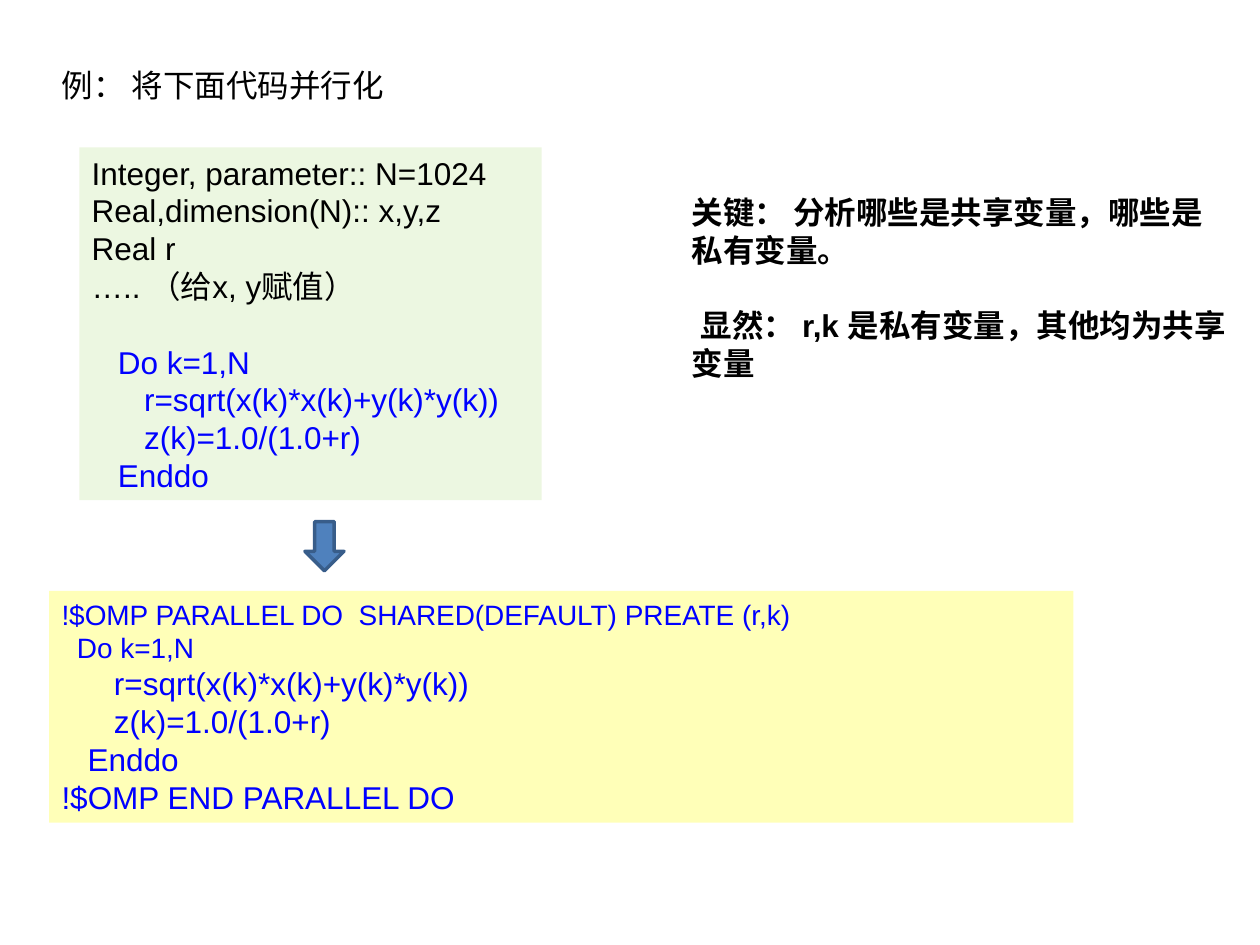
from lxml.etree import SubElement
from pptx import Presentation
from pptx.dml.color import RGBColor
from pptx.enum.shapes import MSO_SHAPE as Shape
from pptx.enum.text import MSO_ANCHOR as Anchor, MSO_AUTO_SIZE as AutoSize, PP_ALIGN as Align
from pptx.oxml.ns import qn
from pptx.util import Inches, Pt

WIDTH, HEIGHT = 10, 7.5
BLACK, BLUE = "000000", "0000FF"
LEADING = 1.2


def rgb(code):
    return RGBColor.from_string(code)


class SlideBuilder:
    font = "Arial"
    size = 18

    def __init__(self, deck):
        self.slide = deck.slides.add_slide(deck.slide_layouts[1])

    def box(self, left, top, width, height):
        """Turn shares of the slide's size into lengths."""
        return [Inches(round(share * side, 2)) for share, side in
                ((left, WIDTH), (top, HEIGHT), (width, WIDTH), (height, HEIGHT))]

    def place(self, shape, area):
        shape.left, shape.top, shape.width, shape.height = self.box(*area)

    def set_text(self, shape, lines, bold=False):
        """Fill a shape with lines of (text, size, colour, blank lines before, first indent)."""
        frame = shape.text_frame
        frame.word_wrap = True
        frame.auto_size = AutoSize.NONE
        frame.vertical_anchor = Anchor.TOP
        frame.margin_left = frame.margin_right = Inches(0.1)
        frame.margin_top = frame.margin_bottom = Inches(0.05)
        for number, (text, size, colour, gap, indent) in enumerate(lines):
            paragraph = frame.paragraphs[0] if number == 0 else frame.add_paragraph()
            properties = paragraph._p.get_or_add_pPr()
            properties.set("marL", "0")
            properties.set("indent", str(Inches(indent)))
            SubElement(properties, qn("a:buNone"))
            paragraph.alignment = Align.LEFT
            paragraph.line_spacing = Pt(size * LEADING)
            paragraph.space_before = Pt(gap * size * LEADING)
            paragraph.space_after = Pt(0)
            run = paragraph.add_run()
            run.text = text
            run.font.name = self.font
            run.font.size = Pt(size)
            run.font.bold = bold
            run.font.color.rgb = rgb(colour)

    def line(self, text, colour=BLACK, size=None, gap=0, indent=0):
        return text, size or self.size, colour, gap, indent

    def title(self, area, text):
        heading = self.slide.shapes.title
        self.place(heading, area)
        self.set_text(heading, [self.line(text)])

    def body(self, area, lines):
        points = self.slide.placeholders[1]
        self.place(points, area)
        self.set_text(points, lines, bold=True)

    def shape(self, kind, area, fill, opacity=100, outline=None):
        shape = self.slide.shapes.add_shape(kind, *self.box(*area))
        shape.shadow.inherit = False
        shape.fill.solid()
        shape.fill.fore_color.rgb = rgb(fill)
        if opacity < 100:
            colour = shape._element.spPr.find(qn("a:solidFill"))[0]
            SubElement(colour, qn("a:alpha"), val=str(opacity * 1000))
        if outline:
            shape.line.color.rgb = rgb(outline)
            shape.line.width = Pt(2)
        else:
            shape.line.fill.background()
        return shape

    def code(self, area, fill, opacity, lines):
        self.set_text(self.shape(Shape.RECTANGLE, area, fill, opacity), lines)


def main():
    deck = Presentation()
    deck.slide_width, deck.slide_height = Inches(WIDTH), Inches(HEIGHT)
    page = SlideBuilder(deck)
    loop_body = [page.line(text, BLUE) for text in (
        "      r=sqrt(x(k)*x(k)+y(k)*y(k))",
        "      z(k)=1.0/(1.0+r)",
        "   Enddo",
    )]

    page.title((0.039, 0.063, 0.438, 0.053), "例： 将下面代码并行化")
    page.code((0.063, 0.156, 0.367, 0.373), "92D050", 17, [
        page.line("Integer, parameter:: N=1024"),
        page.line("Real,dimension(N):: x,y,z"),
        page.line("Real r"),
        page.line("….. （给x, y赋值）"),
        page.line("   Do k=1,N", BLUE, gap=1),
        *loop_body,
    ])
    page.body((0.539, 0.197, 0.445, 0.213), [
        page.line("关键： 分析哪些是共享变量，哪些是私有变量。"),
        page.line("显然： r,k 是私有变量，其他均为共享变量", gap=1, indent=0.07),
    ])
    page.code((0.039, 0.625, 0.813, 0.245), "FFFF00", 28, [
        page.line("!$OMP PARALLEL DO  SHARED(DEFAULT) PREATE (r,k)", BLUE, 16),
        page.line("  Do k=1,N", BLUE, 16),
        *loop_body,
        page.line("!$OMP END PARALLEL DO", BLUE),
    ])
    page.shape(Shape.DOWN_ARROW, (0.242, 0.552, 0.031, 0.052), "4F81BD", outline="385D8A")
    deck.save("out.pptx")


if __name__ == "__main__":
    main()
